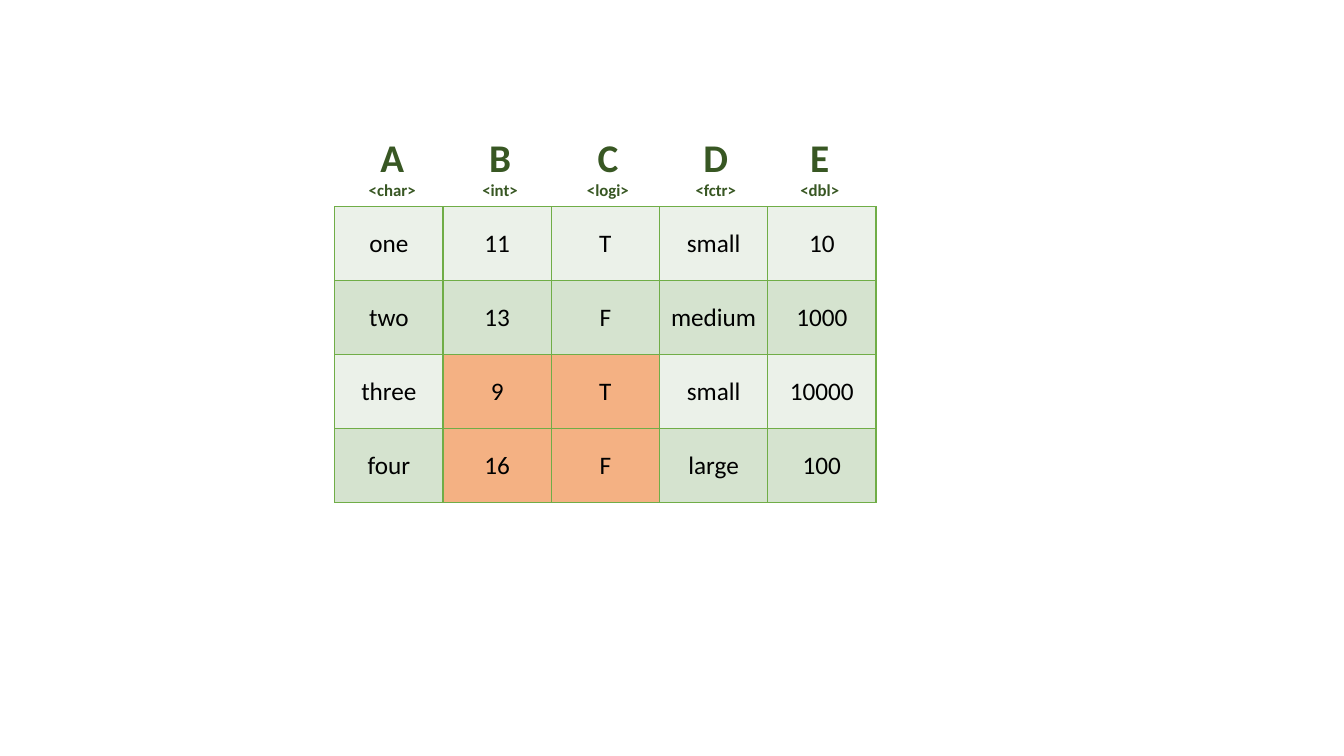
from lxml.etree import SubElement
from pptx import Presentation
from pptx.dml.color import RGBColor
from pptx.enum.text import MSO_ANCHOR as Anchor, MSO_AUTO_SIZE as AutoSize, PP_ALIGN as Align
from pptx.oxml.ns import qn
from pptx.util import Inches, Pt

COLUMNS = [("A", "<char>", 0.7), ("B", "<int>", 0.7), ("C", "<logi>", 0.7),
           ("D", "<fctr>", 0.7), ("E", "<dbl>", 0.62)]
ROWS = [
    ["one", "11", "T", "small", "10"],
    ["two", "13", "F", "medium", "1000"],
    ["three", "9", "T", "small", "10000"],
    ["four", "16", "F", "large", "100"],
]
BANDS = ["EBF1E9", "D5E3CF"]
SELECTED_FILL = "F4B183"
SELECTED = {(row, column) for row in (2, 3) for column in (1, 2)}
BORDER = "70AD47"
HEADING = "385723"
COLUMN_STEP = 1.07


def color(value):
    return RGBColor.from_string(value)


def format_paragraph(paragraph, size, text_color, bold=False):
    paragraph.alignment = Align.CENTER
    font = paragraph.runs[0].font
    font.name = "Calibri"
    font.size = Pt(size)
    font.bold = bold
    font.color.rgb = color(text_color)


def add_borders(cell):
    properties = cell._tc.get_or_add_tcPr()
    for side in ("a:lnL", "a:lnR", "a:lnT", "a:lnB"):
        line = SubElement(properties, qn(side), w=str(Pt(1)))
        fill = SubElement(line, qn("a:solidFill"))
        SubElement(fill, qn("a:srgbClr"), val=BORDER)


def add_data_table(slide):
    data = slide.shapes.add_table(
        len(ROWS), len(COLUMNS),
        Inches(3.32), Inches(2.05), Inches(5.37), Inches(2.94)).table
    data.first_row = False
    data.horz_banding = False
    for row, values in enumerate(ROWS):
        for column, value in enumerate(values):
            cell = data.cell(row, column)
            cell.text_frame.text = value
            cell.vertical_anchor = Anchor.MIDDLE
            format_paragraph(cell.text_frame.paragraphs[0], 18, "000000")
            add_borders(cell)
            cell.fill.solid()
            selected = (row, column) in SELECTED
            cell.fill.fore_color.rgb = color(SELECTED_FILL if selected else BANDS[row % 2])


def add_heading(slide, left, width, letter, data_type):
    heading = slide.shapes.add_textbox(
        Inches(left), Inches(1.27), Inches(width), Inches(0.77)).text_frame
    heading.word_wrap = True
    heading.auto_size = AutoSize.SHAPE_TO_FIT_TEXT
    heading.text = f"{letter}\n{data_type}"
    for paragraph, size in zip(heading.paragraphs, (28, 12)):
        format_paragraph(paragraph, size, HEADING, bold=True)


def main():
    presentation = Presentation()
    presentation.slide_width = Inches(13.33)
    presentation.slide_height = Inches(7.5)
    slide = presentation.slides.add_slide(presentation.slide_layouts[6])
    add_data_table(slide)
    for index, (letter, data_type, width) in enumerate(COLUMNS):
        add_heading(slide, 3.54 + index * COLUMN_STEP, width, letter, data_type)
    presentation.save("out.pptx")


if __name__ == "__main__":
    main()
